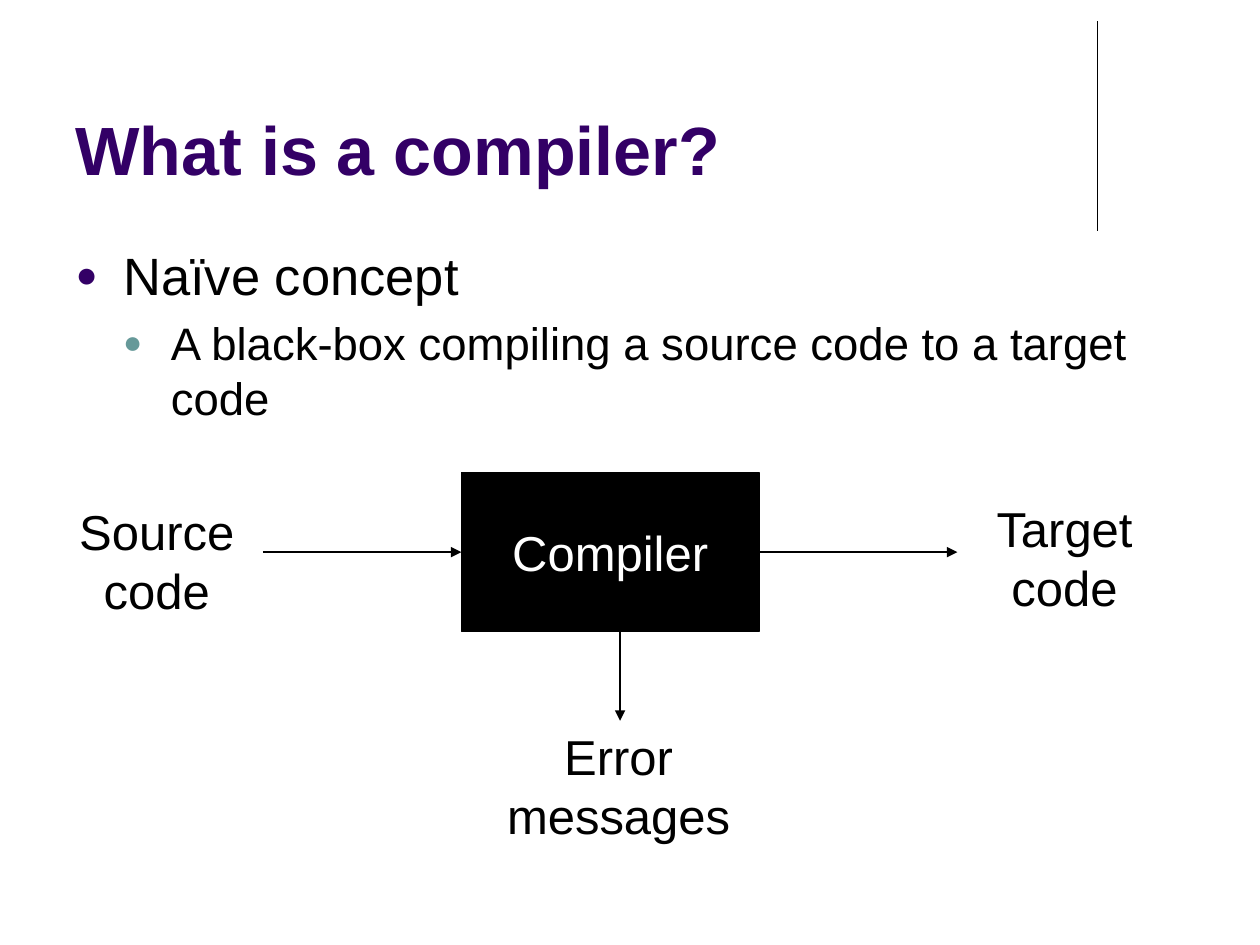
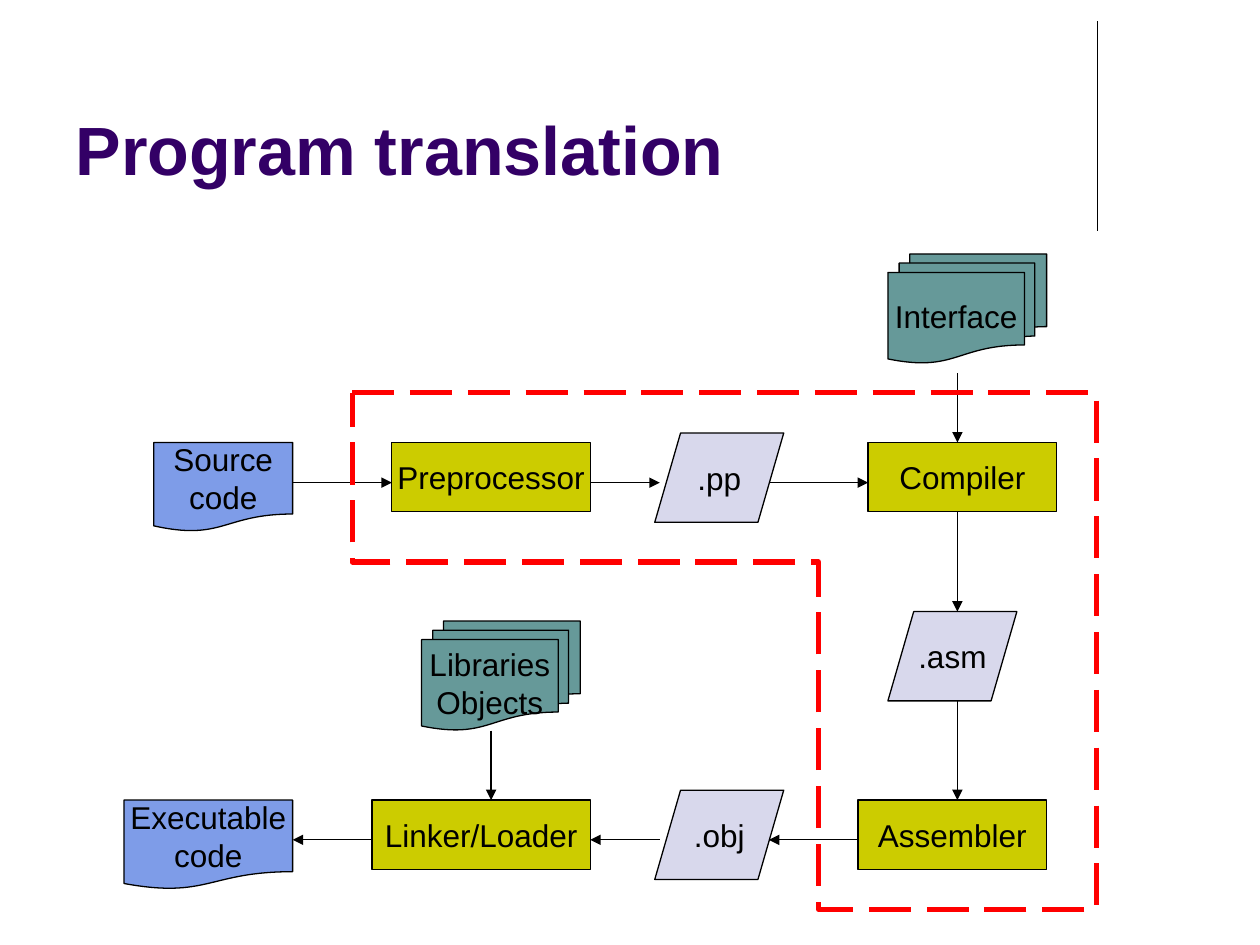
from lxml.etree import SubElement
from pptx import Presentation
from pptx.dml.color import RGBColor
from pptx.enum.dml import MSO_LINE
from pptx.enum.shapes import MSO_CONNECTOR, MSO_SHAPE
from pptx.enum.text import MSO_ANCHOR, MSO_AUTO_SIZE, PP_ALIGN
from pptx.oxml.ns import qn
from pptx.util import Cm, Pt

FONT = "Arial"
BLACK = RGBColor(0x00, 0x00, 0x00)
WHITE = RGBColor(0xFF, 0xFF, 0xFF)
PURPLE = RGBColor(0x33, 0x00, 0x66)
TEAL = RGBColor(0x66, 0x99, 0x99)
OLIVE = RGBColor(0xCC, 0xCC, 0x00)
BLUE = RGBColor(0x7E, 0x9C, 0xE8)
LAVENDER = RGBColor(0xD8, 0xD8, 0xEC)
RED = RGBColor(0xFF, 0x00, 0x00)
THIN = Pt(0.75)


def write_centred(frame, text, size, color=BLACK):
    """Fill a text frame with one centred, unwrapped paragraph; newlines become line breaks."""
    frame.word_wrap = False
    paragraph = frame.paragraphs[0]
    paragraph.alignment = PP_ALIGN.CENTER
    for index, line in enumerate(text.split("\n")):
        if index:
            paragraph.add_line_break()
        run = paragraph.add_run()
        run.text = line
        run.font.name = FONT
        run.font.size = Pt(size)
        run.font.color.rgb = color


def draw_line(slide, start, end, arrow=True):
    """Draw a thin black line between two points given in centimetres."""
    connector = slide.shapes.add_connector(
        MSO_CONNECTOR.STRAIGHT, *[Cm(value) for value in start + end])
    connector.line.color.rgb = BLACK
    connector.line.width = THIN
    properties = connector.element.spPr
    if arrow:
        SubElement(properties.find(qn("a:ln")), qn("a:tailEnd"), type="triangle")
    SubElement(properties, qn("a:effectLst"))


prs = Presentation()
prs.slide_width, prs.slide_height = Cm(25.4), Cm(19.05)

# Both slides: title and the vertical rule at the upper right
concept = prs.slides.add_slide(prs.slide_layouts[1])
translation = prs.slides.add_slide(prs.slide_layouts[5])
for slide, heading in [(concept, "What is a compiler?"),
                       (translation, "Program translation")]:
    draw_line(slide, (22.12, 0.43), (22.12, 4.65), arrow=False)
    title = slide.shapes.title
    title.left, title.top, title.width, title.height = Cm(1.27), Cm(0.33), Cm(20.96), Cm(3.61)
    frame = title.text_frame
    frame.auto_size = MSO_AUTO_SIZE.NONE
    frame.vertical_anchor = MSO_ANCHOR.BOTTOM
    frame.paragraphs[0].alignment = PP_ALIGN.LEFT
    run = frame.paragraphs[0].add_run()
    run.text = heading
    run.font.name = FONT
    run.font.size = Pt(39)
    run.font.bold = True
    run.font.color.rgb = PURPLE

# Slide 1: bulleted list
body = concept.placeholders[1]
body.left, body.top, body.width, body.height = Cm(1.27), Cm(4.78), Cm(22.86), Cm(4.34)
body.text_frame.auto_size = MSO_AUTO_SIZE.NONE
bullets = [
    ("Naïve concept", 30, PURPLE),
    ("A black-box compiling a source code to a target code", 26, TEAL),
]
for level, (text, size, bullet_color) in enumerate(bullets):
    paragraph = body.text_frame.add_paragraph() if level else body.text_frame.paragraphs[0]
    paragraph.level = level
    paragraph.space_before = Pt(0.2 * size)
    run = paragraph.add_run()
    run.text = text
    run.font.name = FONT
    run.font.size = Pt(size)
    run.font.color.rgb = BLACK
    properties = paragraph._p.get_or_add_pPr()
    properties.set("marL", str(Cm(0.96 * (level + 1))))
    properties.set("indent", str(-Cm(0.96)))
    color_choice = SubElement(properties, qn("a:buClr"))
    SubElement(color_choice, qn("a:srgbClr"), val=str(bullet_color))
    SubElement(properties, qn("a:buSzPct"), val="70000")
    SubElement(properties, qn("a:buFont"), typeface=FONT)
    SubElement(properties, qn("a:buChar"), char="●")

# Slide 1: the compiler as a black box
black_box = concept.shapes.add_shape(MSO_SHAPE.RECTANGLE, Cm(9.3), Cm(9.53), Cm(6), Cm(3.2))
black_box.shadow.inherit = False
black_box.fill.solid()
black_box.fill.fore_color.rgb = BLACK
black_box.line.color.rgb = BLACK
black_box.line.width = THIN
write_centred(black_box.text_frame, "Compiler", 28, WHITE)

for start, end in [((15.3, 11.13), (19.3, 11.13)),
                   ((5.3, 11.13), (9.3, 11.13)),
                   ((12.5, 12.73), (12.5, 14.53))]:
    draw_line(concept, start, end)

for text, left, top, width in [("Source\ncode", 1.32, 9.98, 3.68),
                               ("Target\ncode", 19.81, 9.93, 3.3),
                               ("Error\nmessages", 9.93, 14.53, 5.08)]:
    label = concept.shapes.add_textbox(Cm(left), Cm(top), Cm(width), Cm(2.64))
    write_centred(label.text_frame, text, 28)

# Slide 2: each kind of node has one outline, colour and height
UPPER, LOWER = 8.92, 16.13
node_kinds = [
    (MSO_SHAPE.RECTANGLE, OLIVE, 1.4, [
        ("Preprocessor", 7.9, UPPER, 4),
        ("Compiler", 17.5, UPPER, 3.8),
        ("Assembler", 17.3, LOWER, 3.8),
        ("Linker/Loader", 7.5, LOWER, 4.4)]),
    (MSO_SHAPE.FLOWCHART_MULTIDOCUMENT, TEAL, 2.2, [
        ("Libraries\nObjects", 8.5, 12.52, 3.2),
        ("Interface", 17.9, 5.12, 3.2)]),
    (MSO_SHAPE.FLOWCHART_DOCUMENT, BLUE, 1.8, [
        ("Source\ncode", 3.1, UPPER, 2.8),
        ("Executable\ncode", 2.5, LOWER, 3.4)]),
    (MSO_SHAPE.FLOWCHART_DATA, LAVENDER, 1.8, [
        (".pp", 13.2, 8.73, 2.6),
        (".asm", 17.9, 12.33, 2.6),
        (".obj", 13.2, 15.93, 2.6)]),
]
for outline, color, height, nodes in node_kinds:
    for text, left, top, width in nodes:
        node = translation.shapes.add_shape(outline, Cm(left), Cm(top), Cm(width), Cm(height))
        node.shadow.inherit = False
        node.fill.solid()
        node.fill.fore_color.rgb = color
        node.line.color.rgb = BLACK
        node.line.width = THIN
        node.text_frame.vertical_anchor = MSO_ANCHOR.MIDDLE
        write_centred(node.text_frame, text, 18)

# Slide 2: arrows along the two rows, then down the columns
row_arrows = [
    (9.73, [(5.9, 7.9), (11.9, 13.3), (15.5, 17.5)]),
    (16.93, [(17.3, 15.5), (13.3, 11.9), (7.5, 5.9)]),
]
for y, spans in row_arrows:
    for x_start, x_end in spans:
        draw_line(translation, (x_start, y), (x_end, y))

column_arrows = [
    (19.3, [(7.52, UPPER), (10.33, 12.33), (14.13, LOWER)]),
    (9.9, [(14.73, LOWER)]),
]
for x, spans in column_arrows:
    for y_start, y_end in spans:
        draw_line(translation, (x, y_start), (x, y_end))

# Slide 2: dashed border around the compiler proper
corners = [(7.1, 7.92), (22.1, 7.92), (22.1, 18.33), (16.5, 18.33), (16.5, 11.33), (7.1, 11.33)]
points = [(Cm(x), Cm(y)) for x, y in corners]
builder = translation.shapes.build_freeform(*points[0])
builder.add_line_segments(points[1:], close=True)
border = builder.convert_to_shape()
border.shadow.inherit = False
border.fill.background()
border.line.color.rgb = RED
border.line.width = Pt(3)
border.line.dash_style = MSO_LINE.LONG_DASH

prs.save("out.pptx")
